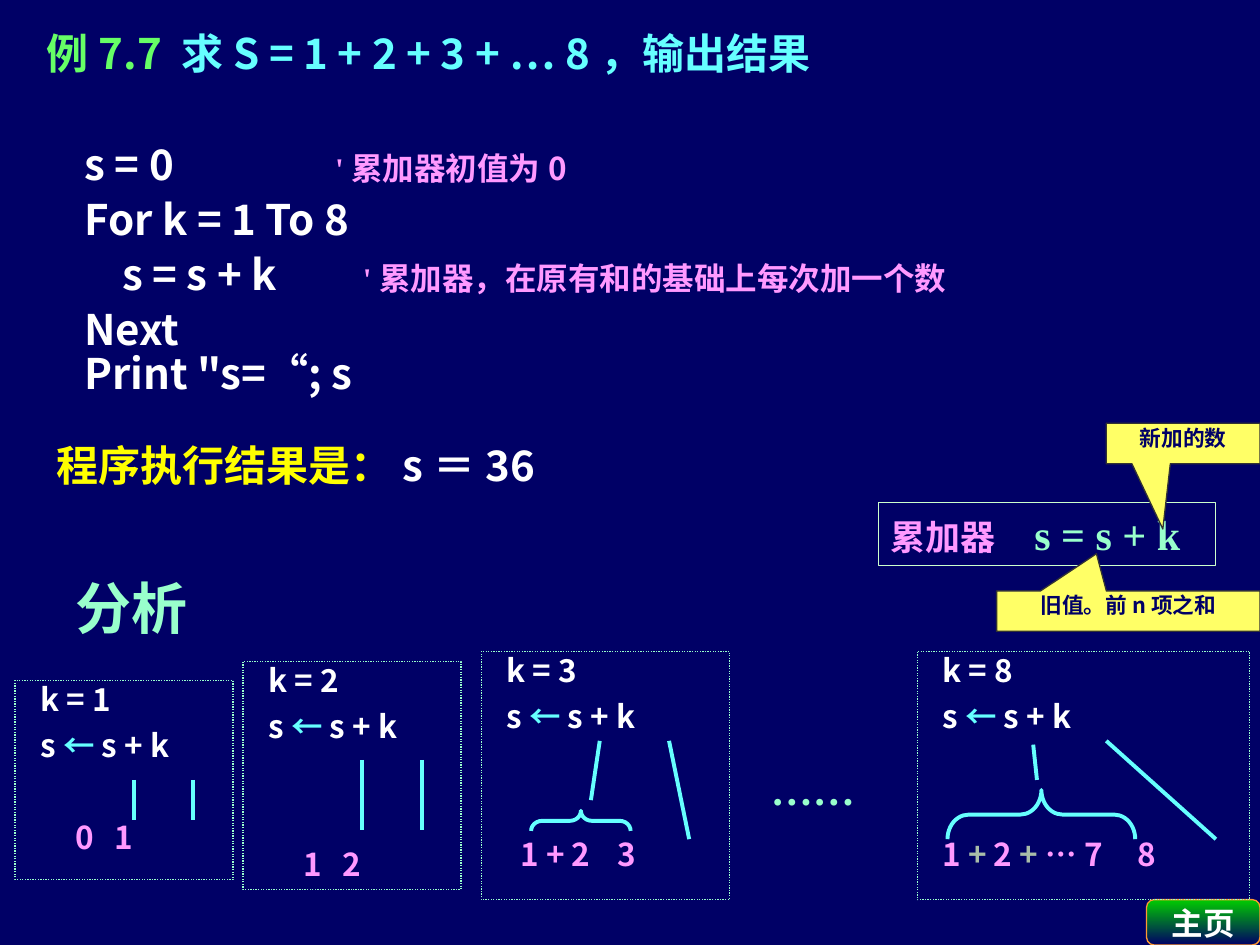
from dataclasses import dataclass

from lxml.etree import SubElement
from pptx import Presentation
from pptx.dml.color import RGBColor
from pptx.enum.dml import MSO_LINE
from pptx.enum.shapes import MSO_CONNECTOR, MSO_SHAPE as SHAPE
from pptx.enum.text import MSO_ANCHOR as ANCHOR, PP_ALIGN as ALIGN
from pptx.oxml.ns import qn
from pptx.util import Inches, Pt


@dataclass(frozen=True)
class Theme:
    navy: str = "000066"
    white: str = "FFFFFF"
    lime: str = "66FF66"
    cyan: str = "66FFFF"
    pink: str = "FF99FF"
    yellow: str = "FFFF00"
    mint: str = "99FFCC"
    pale: str = "CCFFCC"
    sage: str = "A9BDA9"
    note: str = "FFFF66"
    edge: str = "333333"
    green: str = "00CC00"
    orange: str = "FF9933"
    sans: str = "Noto Sans CJK SC"
    sans_jp: str = "Noto Sans CJK JP"
    serif: str = "Times New Roman"
    heading: float = 32
    code: float = 24
    label: float = 20
    small: float = 18
    callout: float = 12.4


THEME = Theme()


def rgb(value):
    return RGBColor.from_string(value)


def add_text(para, text, color=THEME.white, size=THEME.small, font=THEME.sans):
    span = para.add_run()
    span.text = text
    span.font.size, span.font.bold, span.font.name = Pt(size), True, font
    span.font.color.rgb = rgb(color)
    east_asian = THEME.sans if font == THEME.serif else font
    SubElement(span.font._element, qn("a:ea"), typeface=east_asian)


def set_frame(box, inset=(0.1, 0.05), anchor=ANCHOR.TOP, wrap=True):
    frame = box.text_frame
    frame.margin_left = frame.margin_right = Inches(inset[0])
    frame.margin_top = frame.margin_bottom = Inches(inset[1])
    frame.vertical_anchor, frame.word_wrap = anchor, wrap
    return frame


def add_para(frame, pitch, before=0, indent=0, column=None, align=ALIGN.LEFT):
    """Return the next paragraph, with a fixed line pitch in points.

    The text starts at indent; a tab in it jumps to column, by a hanging indent.
    """
    first = frame.paragraphs[0]
    para = first if not first.runs else frame.add_paragraph()
    margin = indent if column is None else column
    props = para._p.get_or_add_pPr()
    props.set("marL", str(Inches(margin)))
    props.set("indent", str(Inches(indent - margin)))
    SubElement(props, qn("a:buNone"))
    para.line_spacing, para.space_before, para.space_after = Pt(pitch), Pt(before), Pt(0)
    para.alignment = align
    return para


def add_box(page, kind, area, line, fill=None, width=0.75):
    box = page.shapes.add_shape(kind, *map(Inches, area))
    box.shadow.inherit = False
    if fill:
        box.fill.solid()
        box.fill.fore_color.rgb = rgb(fill)
    else:
        box.fill.background()
    box.line.color.rgb, box.line.width = rgb(line), Pt(width)
    return box


def place(box, area):
    box.left, box.top, box.width, box.height = map(Inches, area)


def add_title(page, area):
    place(page.shapes.title, area)
    para = add_para(set_frame(page.shapes.title), 26, indent=0.15)
    add_text(para, "例7.7 ", THEME.lime, THEME.code)
    add_text(para, "求S = 1 + 2 + 3 + … 8，输出结果", THEME.cyan, THEME.code)


def add_program(page, area):
    body = page.placeholders[1]
    place(body, area)
    frame = set_frame(body)
    code_indent = 0.45
    lines = [
        ("s = 0", code_indent, 2.44, "累加器初值为0", 31.4),
        ("For k = 1 To 8", code_indent, None, None, 31.4),
        ("s = s + k", 0.75, 2.66, "累加器，在原有和的基础上每次加一个数", 31.4),
        ("Next", code_indent, None, None, 31.4),
        ('Print "s=“; s', code_indent, None, None, 25.5),
    ]
    for code, indent, column, comment, pitch in lines:
        para = add_para(frame, pitch, indent=indent, column=column)
        add_text(para, code, size=THEME.code)
        if comment:
            add_text(para, "\t'", THEME.pink, font=THEME.serif)
            add_text(para, comment, THEME.pink)
    para = add_para(frame, 25.5, before=27, indent=0.23)
    add_text(para, "程序执行结果是：", THEME.yellow, THEME.code)
    add_text(para, "s＝36", size=THEME.code)
    para = add_para(frame, 41, before=45, indent=0.38)
    add_text(para, "分析", THEME.mint, THEME.heading, THEME.sans_jp)


def add_accumulator(page, area):
    left, top, width, height = area
    box = add_box(page, SHAPE.RECTANGLE, area, THEME.pale)
    para = add_para(set_frame(box), 28.5, column=1.14)
    add_text(para, "累加器\t", THEME.pink, THEME.label, THEME.serif)
    add_text(para, "s = s + k", THEME.mint, THEME.code, THEME.serif)
    right = 10
    for text, x, y, tail in [
        ("旧值。前n项之和", left + 0.94, top + 0.7, (-0.121, -1.423)),
        ("新加的数", left + 1.81, top - 0.63, (-0.132, 2.121)),
    ]:
        note = add_box(page, SHAPE.RECTANGULAR_CALLOUT, (x, y, right - x, 0.32),
                       THEME.edge, THEME.note)
        note.adjustments[0], note.adjustments[1] = tail
        para = add_para(set_frame(note), 12, align=ALIGN.CENTER)
        add_text(para, text, THEME.navy, THEME.callout)


def add_stroke(page, start, end):
    stroke = page.shapes.add_connector(MSO_CONNECTOR.STRAIGHT, *map(Inches, start + end))
    stroke.line.color.rgb, stroke.line.width = rgb(THEME.cyan), Pt(2.25)
    SubElement(stroke._element.spPr, qn("a:effectLst"))


def add_brace(page, area, curve):
    """Draw a brace pointing up; area is its frame before the quarter turn."""
    brace = add_box(page, SHAPE.LEFT_BRACE, area, THEME.cyan, width=2.25)
    brace.adjustments[0], brace.rotation = curve, 90


def add_step(page, area, k, values, columns, skipped, strokes, brace=None):
    """Draw one loop step; strokes and brace are offsets from the panel's corner."""
    left, top = area[:2]
    box = add_box(page, SHAPE.RECTANGLE, area, THEME.mint)
    box.line.dash_style = MSO_LINE.ROUND_DOT
    frame = set_frame(box, inset=(0.01, 0))
    pitch, gap, indent = 21.5, 4.8, 0.19
    add_text(add_para(frame, pitch, indent=indent), f"k = {k}")
    para = add_para(frame, pitch, gap, indent)
    for text, color in [("s ", THEME.white), ("← ", THEME.cyan), ("s + k", THEME.white)]:
        add_text(para, text, color)
    para = add_para(frame, pitch, gap + skipped * (pitch + gap), *columns)
    for text, color in values:
        add_text(para, text, color)
    for x1, y1, x2, y2 in strokes:
        add_stroke(page, (left + x1, top + y1), (left + x2, top + y2))
    if brace:
        x, y, width, height, curve = brace
        add_brace(page, (left + x, top + y, width, height), curve)


def add_analysis(page):
    pink, sage = THEME.pink, THEME.sage
    add_step(page, (0.12, 5.4, 1.73, 1.58), 1, [("0\t1", pink)], (0.47, 0.78), 1,
             [(x, 0.79, x, 1.11) for x in (0.94, 1.41)])
    add_step(page, (1.93, 5.25, 1.73, 1.81), 2, [("1\t2", pink)], (0.47, 0.78), 2,
             [(x, 0.78, x, 1.34) for x in (0.94, 1.42)])
    add_step(page, (3.82, 5.17, 1.97, 1.97), 3, [("1 + 2\t3", pink)], (0.3, 1.07), 2,
             [(0.94, 0.71, 0.87, 1.18), (1.49, 0.71, 1.65, 1.49)],
             (0.71, 0.95, 0.16, 0.79, 0.55))
    add_step(page, (7.28, 5.17, 2.64, 1.97), 8,
             [("1 ", pink), ("+ ", sage), ("2 ", pink), ("+ ", sage), ("… 7\t8", pink)],
             (0.19, 1.74), 2,
             [(0.92, 0.74, 0.95, 1.02), (1.5, 0.71, 2.37, 1.49)],
             (0.79, 0.55, 0.39, 1.49, 0.43))
    dots = page.shapes.add_textbox(*map(Inches, (6.02, 6.01, 0.94, 0.5)))
    add_text(add_para(set_frame(dots), 29), "……", THEME.mint, THEME.code, THEME.serif)


def add_home_button(page, area):
    button = add_box(page, SHAPE.ROUNDED_RECTANGLE, area, THEME.orange)
    button.fill.gradient()
    button.fill.gradient_angle = 270
    for stop, color, position in zip(button.fill.gradient_stops,
                                     (THEME.green, THEME.navy), (0, 1)):
        stop.color.rgb, stop.position = rgb(color), position
    frame = set_frame(button, anchor=ANCHOR.MIDDLE, wrap=False)
    add_text(add_para(frame, 22, align=ALIGN.CENTER), "主页", font=THEME.serif)


def main():
    deck = Presentation()
    deck.slide_width, deck.slide_height = Inches(10), Inches(7.5)
    page = deck.slides.add_slide(deck.slide_layouts[1])
    page.background.fill.solid()
    page.background.fill.fore_color.rgb = rgb(THEME.navy)
    add_home_button(page, (9.1, 7.14, 0.9, 0.36))
    add_title(page, (0.12, 0.21, 9.73, 0.6))
    add_program(page, (0.12, 1.01, 9.73, 4.24))
    add_accumulator(page, (6.97, 3.99, 2.68, 0.5))
    add_analysis(page)
    deck.save("out.pptx")


if __name__ == "__main__":
    main()
